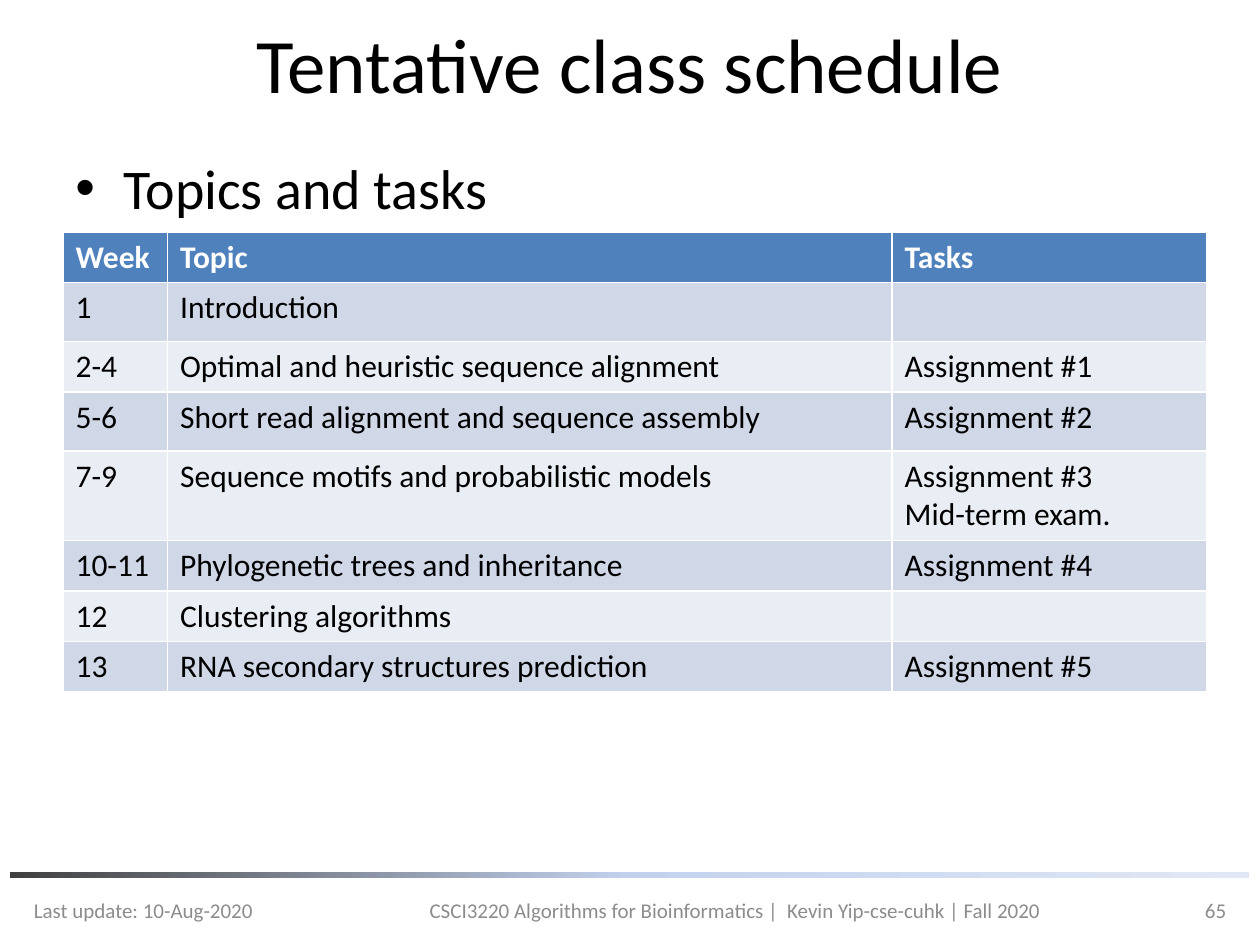
from copy import deepcopy

from pptx import Presentation
from pptx.dml.color import RGBColor
from pptx.enum.shapes import MSO_SHAPE as Shape
from pptx.enum.text import MSO_ANCHOR as Anchor, PP_ALIGN as Align
from pptx.oxml.ns import qn
from pptx.util import Inches, Pt

WIDTH, HEIGHT = 10, 7.5
MARGIN = 0.5
FONT = "Calibri"
COLORS = {
    "text": "000000",
    "header_text": "FFFFFF",
    "footer": "8C8C8C",
    "header": "4F81BD",
    "odd_row": "D0D8E8",
    "even_row": "E9EDF4",
}
RULE_STOPS = [(0, "404040"), (0.5, "C2D1ED"), (1, "E1E8F5")]

COLUMN_WIDTHS = [0.83, 5.75, 2.5]
LINE_ROW, TALL_ROW, DOUBLE_ROW = 0.4, 0.47, 0.71
SCHEDULE = [
    (LINE_ROW, "Week", "Topic", "Tasks"),
    (TALL_ROW, "1", "Introduction", ""),
    (LINE_ROW, "2-4", "Optimal and heuristic sequence alignment", "Assignment #1"),
    (TALL_ROW, "5-6", "Short read alignment and sequence assembly", "Assignment #2"),
    (DOUBLE_ROW, "7-9", "Sequence motifs and probabilistic models",
     "Assignment #3\nMid-term exam."),
    (LINE_ROW, "10-11", "Phylogenetic trees and inheritance", "Assignment #4"),
    (LINE_ROW, "12", "Clustering algorithms", ""),
    (LINE_ROW, "13", "RNA secondary structures prediction", "Assignment #5"),
]
FOOTERS = [
    (0.17, 2.75, "Last update: 10-Aug-2020", Align.LEFT),
    (2.92, 5.83,
     "CSCI3220 Algorithms for Bioinformatics |  Kevin Yip-cse-cuhk | Fall 2020",
     Align.CENTER),
    (8.75, 1.08, "65", Align.RIGHT),
]


def rgb(name):
    return RGBColor.from_string(COLORS[name])


def style(para, size, color, bold=False, align=Align.LEFT):
    para.alignment = align
    font = para.font
    font.name, font.size, font.bold = FONT, Pt(size), bold
    font.color.rgb = rgb(color)


def add_text(page, left, top, width, height, text, anchor):
    """Add a wrapping text box and return its paragraph."""
    box = page.shapes.add_textbox(*map(Inches, (left, top, width, height)))
    frame = box.text_frame
    frame.word_wrap = True
    frame.vertical_anchor = anchor
    frame.text = text
    return frame.paragraphs[0]


def add_rule(page):
    """Draw the gradient band above the footer."""
    band = page.shapes.add_shape(
        Shape.RECTANGLE, *map(Inches, (0.08, 6.92, 9.83, 0.05)))
    band.shadow.inherit = False
    band.line.fill.background()
    band.fill.gradient()
    band.fill.gradient_angle = 0
    stop_list = next(band.element.iter(qn("a:gsLst")))
    stop_list.append(deepcopy(stop_list[-1]))
    for stop, (position, color) in zip(band.fill.gradient_stops, RULE_STOPS):
        stop.position = position
        stop.color.rgb = RGBColor.from_string(color)


def add_title(page, text):
    title = page.shapes.title
    title.left, title.top = Inches(MARGIN), 0
    title.width, title.height = Inches(WIDTH - 2 * MARGIN), Inches(1)
    title.text_frame.text = text
    title.text_frame.vertical_anchor = Anchor.MIDDLE
    style(title.text_frame.paragraphs[0], 44, "text", align=Align.CENTER)


def add_bullet(page, text):
    para = add_text(page, MARGIN, 1.17, WIDTH - 2 * MARGIN, 0.65, text, Anchor.TOP)
    props = para._p.get_or_add_pPr()
    indent = Inches(0.38)
    props.set("marL", str(indent))
    props.set("indent", str(-indent))
    bullet_font = props.makeelement(qn("a:buFont"), {"typeface": "Arial"})
    bullet = props.makeelement(qn("a:buChar"), {"char": "•"})
    props.extend([bullet_font, bullet])
    style(para, 32, "text")


def add_schedule(page):
    heights = [row[0] for row in SCHEDULE]
    table = page.shapes.add_table(
        len(SCHEDULE), len(COLUMN_WIDTHS), Inches(MARGIN), Inches(1.84),
        Inches(sum(COLUMN_WIDTHS)), Inches(sum(heights))).table
    for column, width in zip(table.columns, COLUMN_WIDTHS):
        column.width = Inches(width)
    for index, (height, *texts) in enumerate(SCHEDULE):
        header = index == 0
        fill = "header" if header else "odd_row" if index % 2 else "even_row"
        table.rows[index].height = Inches(height)
        for cell, text in zip(table.rows[index].cells, texts):
            cell.fill.solid()
            cell.fill.fore_color.rgb = rgb(fill)
            cell.text = text
            for para in cell.text_frame.paragraphs:
                style(para, 18, "header_text" if header else "text", bold=header)


def main():
    deck = Presentation()
    deck.slide_width, deck.slide_height = Inches(WIDTH), Inches(HEIGHT)
    page = deck.slides.add_slide(deck.slide_layouts[5])
    add_rule(page)
    add_title(page, "Tentative class schedule")
    add_bullet(page, "Topics and tasks")
    for left, width, text, align in FOOTERS:
        para = add_text(page, left, 7.02, width, 0.4, text, Anchor.MIDDLE)
        style(para, 12, "footer", align=align)
    add_schedule(page)
    deck.save("out.pptx")


if __name__ == "__main__":
    main()
